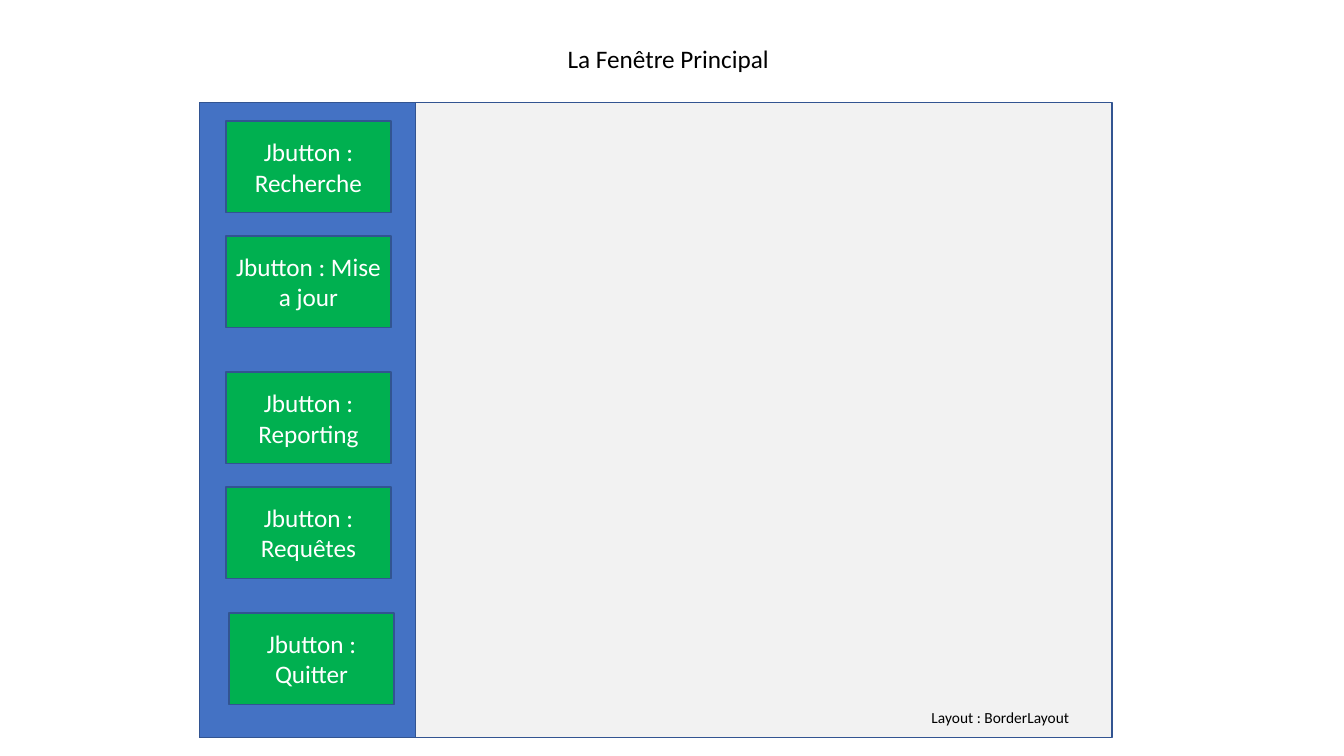
from dataclasses import dataclass

from pptx import Presentation
from pptx import util as u
from pptx.dml import color
from pptx.enum import shapes, text

FONT = "Calibri"
LINE = "325491"
BUTTON_FILL = "00B050"
BUTTON_WIDTH, BUTTON_HEIGHT = 1.64, 0.91
WINDOW_LEFT, WINDOW_TOP, WINDOW_HEIGHT = 1.98, 1.02, 6.3


@dataclass
class Box:
    left: float
    top: float
    width: float
    height: float
    fill: str = ""
    label: str = ""


def button(label: str, top: float, left: float = 2.24) -> Box:
    return Box(left, top, BUTTON_WIDTH, BUTTON_HEIGHT, BUTTON_FILL, label)


PANELS = [
    Box(WINDOW_LEFT, WINDOW_TOP, 9.05, WINDOW_HEIGHT, "F2F2F2"),
    Box(WINDOW_LEFT, WINDOW_TOP, 2.14, WINDOW_HEIGHT, "4472C4"),
]
BUTTONS = [
    button("Jbutton : Recherche", 1.2),
    button("Jbutton : Mise a jour", 2.34),
    button("Jbutton : Reporting", 3.69),
    button("Jbutton : Requêtes", 4.83),
    button("Jbutton : Quitter", 6.08, left=2.27),
]
TITLE = Box(5.53, 0.38, 2.22, 0.4, label="La Fenêtre Principal")
CAPTION = Box(9.14, 6.98, 1.59, 0.29, label="Layout : BorderLayout")

LABEL_FRAME = {
    "word_wrap": False,
    "auto_size": text.MSO_AUTO_SIZE.SHAPE_TO_FIT_TEXT,
    "vertical_anchor": text.MSO_ANCHOR.TOP,
}
BUTTON_FRAME = {"word_wrap": True, "vertical_anchor": text.MSO_ANCHOR.MIDDLE}


def paint(target, value: str) -> None:
    target.rgb = color.RGBColor.from_string(value)


def apply(target, values: dict) -> None:
    for name, value in values.items():
        setattr(target, name, value)


def bounds(box: Box) -> list[int]:
    return [u.Inches(value) for value in (box.left, box.top, box.width, box.height)]


def write(shape, label: str, size: int, ink: str, frame: dict, alignment) -> None:
    shape.text_frame.text = label
    apply(shape.text_frame, frame)
    paragraph = shape.text_frame.paragraphs[0]
    paragraph.alignment = alignment
    font = paragraph.runs[0].font
    apply(font, {"name": FONT, "size": u.Pt(size)})
    paint(font.color, ink)


def draw_box(slide, box: Box) -> None:
    shape = slide.shapes.add_shape(shapes.MSO_SHAPE.RECTANGLE, *bounds(box))
    shape.shadow.inherit = False
    shape.fill.solid()
    paint(shape.fill.fore_color, box.fill)
    paint(shape.line.color, LINE)
    shape.line.width = u.Pt(1)
    if box.label:
        write(shape, box.label, 18, "FFFFFF", BUTTON_FRAME, text.PP_ALIGN.CENTER)


def draw_title(slide, box: Box) -> None:
    title = slide.shapes.title
    apply(title, dict(zip(("left", "top", "width", "height"), bounds(box))))
    write(title, box.label, 18, "000000", LABEL_FRAME, text.PP_ALIGN.LEFT)


def draw_caption(slide, box: Box) -> None:
    caption = slide.shapes.add_textbox(*bounds(box))
    write(caption, box.label, 11, "000000", LABEL_FRAME, text.PP_ALIGN.LEFT)


def main() -> None:
    presentation = Presentation()
    presentation.slide_width = u.Inches(13.33)
    presentation.slide_height = u.Inches(7.5)
    slide = presentation.slides.add_slide(presentation.slide_layouts.get_by_name("Title Only"))
    draw_title(slide, TITLE)
    for box in PANELS + BUTTONS:
        draw_box(slide, box)
    draw_caption(slide, CAPTION)
    presentation.save("out.pptx")


if __name__ == "__main__":
    main()
